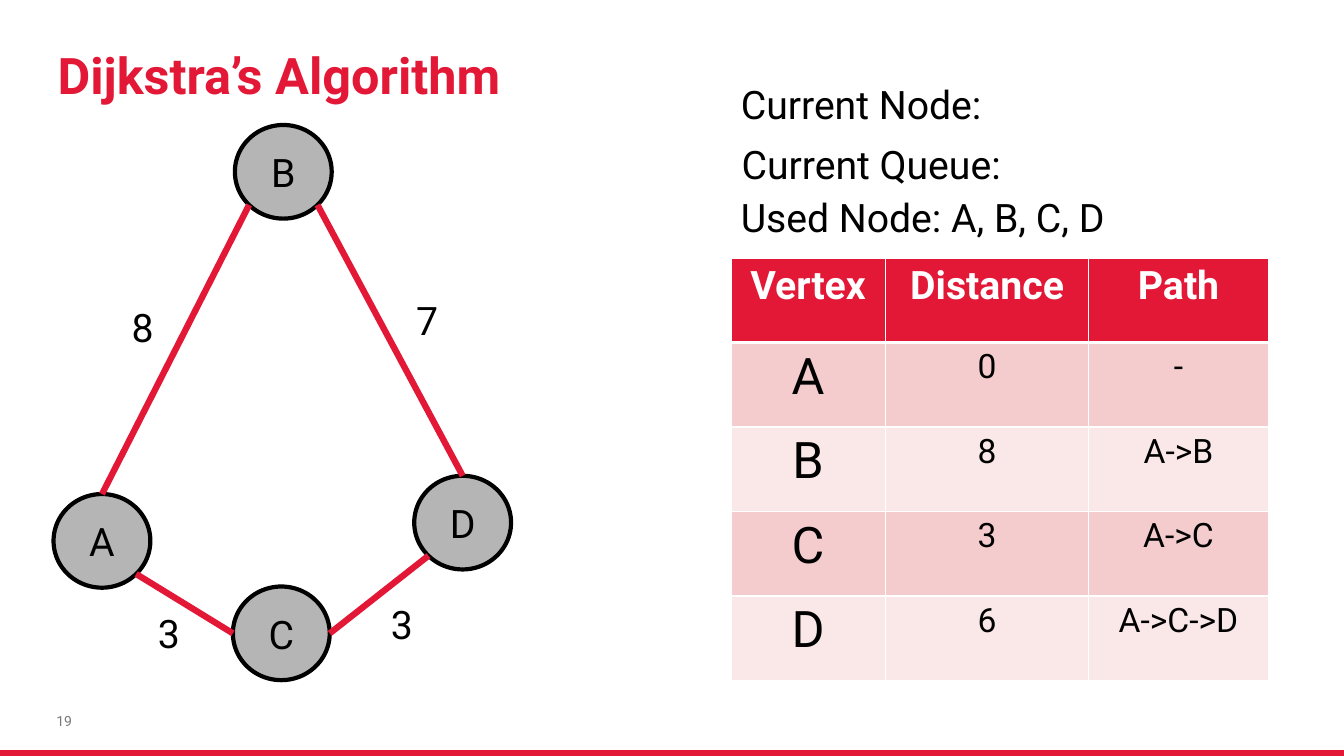
from dataclasses import dataclass
from math import cos, radians, sin

from lxml.etree import SubElement
from pptx import Presentation
from pptx.dml.color import RGBColor
from pptx.enum.shapes import MSO_CONNECTOR as Link, MSO_SHAPE as Shape
from pptx.enum.text import MSO_ANCHOR as Anchor, MSO_AUTO_SIZE as AutoSize, PP_ALIGN as Align
from pptx.oxml.ns import qn
from pptx.util import Cm, Pt


@dataclass(frozen=True)
class Theme:
    """Colours, font and type sizes of the slide."""
    font: str = "Roboto"
    red: str = "E31837"
    black: str = "000000"
    white: str = "FFFFFF"
    node: str = "B5B5B5"
    muted: str = "797979"
    bands: tuple = ("F4CCCE", "FAE8E8")
    title: int = 36
    vertex: int = 36
    body: int = 28
    cell: int = 24
    footer: int = 10


THEME = Theme()
SLIDE_W, SLIDE_H = 33.87, 19.05
NODE_W, NODE_H = 2.44, 2.36
TOP, UPPER_LEFT, LEFT, LOWER_LEFT, LOWER_RIGHT, RIGHT, UPPER_RIGHT = 90, 135, 180, 225, 315, 0, 45

NODES = {"A": (1.35, 12.45), "D": (10.44, 11.99), "B": (5.92, 3.15), "C": (5.87, 14.78)}
EDGES = [
    ("A", TOP, "B", LOWER_LEFT),
    ("A", LOWER_RIGHT, "C", LEFT),
    ("C", RIGHT, "D", LOWER_LEFT),
    ("D", TOP, "B", LOWER_RIGHT),
]
WEIGHTS = [("8", 3.07, 7.52), ("7", 10.24, 7.34), ("3", 3.73, 15.24), ("3", 9.6, 14.99)]
STATUS = [
    ("Current Node:", 18.42, 1.91, 7.04),
    ("Current Queue:", 18.44, 3.4, 7.34),
    ("Used Node: A, B, C, D", 18.42, 4.75, 10.06),
]
COLUMN_WIDTHS = (3.89, 5.13, 4.52)
ROW_HEIGHT = 2.13
ROUTES = [
    ("Vertex", "Distance", "Path"),
    ("A", "0", "-"),
    ("B", "8", "A->B"),
    ("C", "3", "A->C"),
    ("D", "6", "A->C->D"),
]


def apply(target, values):
    """Set every attribute named in values on target."""
    for name, value in values.items():
        setattr(target, name, value)


def write(frame, text, size, color=THEME.black, bold=False, **paragraph_format):
    """Put one formatted paragraph into a text frame."""
    frame.text = text
    paragraph = frame.paragraphs[0]
    apply(paragraph, paragraph_format)
    font = paragraph.runs[0].font
    apply(font, {"name": THEME.font, "size": Pt(size), "bold": bold})
    font.color.rgb = RGBColor.from_string(color)


def paint(fill, color):
    """Fill with one solid colour."""
    fill.solid()
    fill.fore_color.rgb = RGBColor.from_string(color)


def box(left, top, width, height):
    """Convert a rectangle in centimetres to lengths."""
    return [Cm(value) for value in (left, top, width, height)]


def add_title(slide, text):
    """Place and format the title placeholder."""
    title = slide.shapes.title
    apply(title, dict(zip(("left", "top", "width", "height"), box(1.45, 0.64, 31.01, 2.01))))
    apply(title.text_frame, {
        "margin_left": 0, "margin_top": 0, "margin_right": 0, "margin_bottom": 0,
        "vertical_anchor": Anchor.BOTTOM, "auto_size": AutoSize.NONE, "word_wrap": True,
    })
    write(title.text_frame, text, THEME.title, THEME.red, True,
          alignment=Align.LEFT, line_spacing=0.85)


def add_footer(slide, number):
    """Draw the bottom bar and the page number."""
    bar = slide.shapes.add_shape(Shape.RECTANGLE, *box(0, 18.9, SLIDE_W, 0.15))
    bar.shadow.inherit = False
    paint(bar.fill, THEME.red)
    bar.line.fill.background()
    frame = slide.shapes.add_textbox(*box(1.42, 17.65, 1.14, 1.02)).text_frame
    apply(frame, {
        "margin_left": 0, "margin_top": 0, "margin_right": 0, "margin_bottom": 0,
        "vertical_anchor": Anchor.MIDDLE, "word_wrap": True,
    })
    write(frame, number, THEME.footer, THEME.muted)


def add_label(slide, text, left, top, width=1.12):
    """Add a one-line label."""
    frame = slide.shapes.add_textbox(*box(left, top, width, 1.45)).text_frame
    apply(frame, {"word_wrap": False, "auto_size": AutoSize.SHAPE_TO_FIT_TEXT})
    write(frame, text, THEME.body, space_after=Pt(3))


def add_node(slide, name, left, top):
    """Add a graph node and return it."""
    node = slide.shapes.add_shape(Shape.OVAL, *box(left, top, NODE_W, NODE_H))
    node.shadow.inherit = False
    paint(node.fill, THEME.node)
    paint(node.line.fill, THEME.black)
    node.line.width = Pt(3)
    node.text_frame.vertical_anchor = Anchor.MIDDLE
    write(node.text_frame, name, THEME.body, alignment=Align.CENTER)
    return node


def rim_point(node, angle):
    """Find the point on a node's outline at an angle in degrees."""
    x = node.left + node.width / 2 * (1 + cos(radians(angle)))
    y = node.top + node.height / 2 * (1 - sin(radians(angle)))
    return round(x), round(y)


def add_edge(slide, start, start_angle, end, end_angle):
    """Draw an edge between two node outlines."""
    edge = slide.shapes.add_connector(
        Link.STRAIGHT, *rim_point(start, start_angle), *rim_point(end, end_angle))
    if start_angle == TOP:
        edge.begin_connect(start, 0)
    paint(edge.line.fill, THEME.red)
    edge.line.width = Pt(4.5)
    SubElement(edge.element.spPr, qn("a:effectLst"))


def add_borders(cell, widths):
    """Draw white borders of the given point widths around a cell."""
    properties = cell._tc.get_or_add_tcPr()
    for side, width in widths.items():
        line = SubElement(properties, qn(f"a:ln{side}"), w=str(Pt(width)))
        fill = SubElement(line, qn("a:solidFill"))
        SubElement(fill, qn("a:srgbClr"), val=THEME.white)


def add_route_table(slide, left, top):
    """Add the table of shortest distances."""
    size = box(left, top, sum(COLUMN_WIDTHS), ROW_HEIGHT * len(ROUTES))
    table = slide.shapes.add_table(len(ROUTES), len(COLUMN_WIDTHS), *size).table
    for column, width in zip(table.columns, COLUMN_WIDTHS):
        column.width = Cm(width)
    for r, route in enumerate(ROUTES):
        table.rows[r].height = Cm(ROW_HEIGHT)
        for c, text in enumerate(route):
            cell = table.cell(r, c)
            add_borders(cell, {"L": 1, "R": 1, "T": 3 if r == 1 else 1, "B": 3 if r == 0 else 1})
            if r == 0:
                paint(cell.fill, THEME.red)
                style = (THEME.body, THEME.white, True)
            else:
                paint(cell.fill, THEME.bands[(r - 1) % 2])
                style = (THEME.vertex if c == 0 else THEME.cell, THEME.black, False)
            write(cell.text_frame, text, *style, alignment=Align.CENTER)


def main():
    """Build and save the slide."""
    deck = Presentation()
    apply(deck, {"slide_width": Cm(SLIDE_W), "slide_height": Cm(SLIDE_H)})
    slide = deck.slides.add_slide(deck.slide_layouts[5])
    add_title(slide, "Dijkstra’s Algorithm")
    add_footer(slide, "19")
    add_route_table(slide, 18.42, 6.5)
    for status in STATUS:
        add_label(slide, *status)
    nodes = {name: add_node(slide, name, *place) for name, place in NODES.items()}
    for start, start_angle, end, end_angle in EDGES:
        add_edge(slide, nodes[start], start_angle, nodes[end], end_angle)
    for weight in WEIGHTS:
        add_label(slide, *weight)
    deck.save("out.pptx")


if __name__ == "__main__":
    main()
